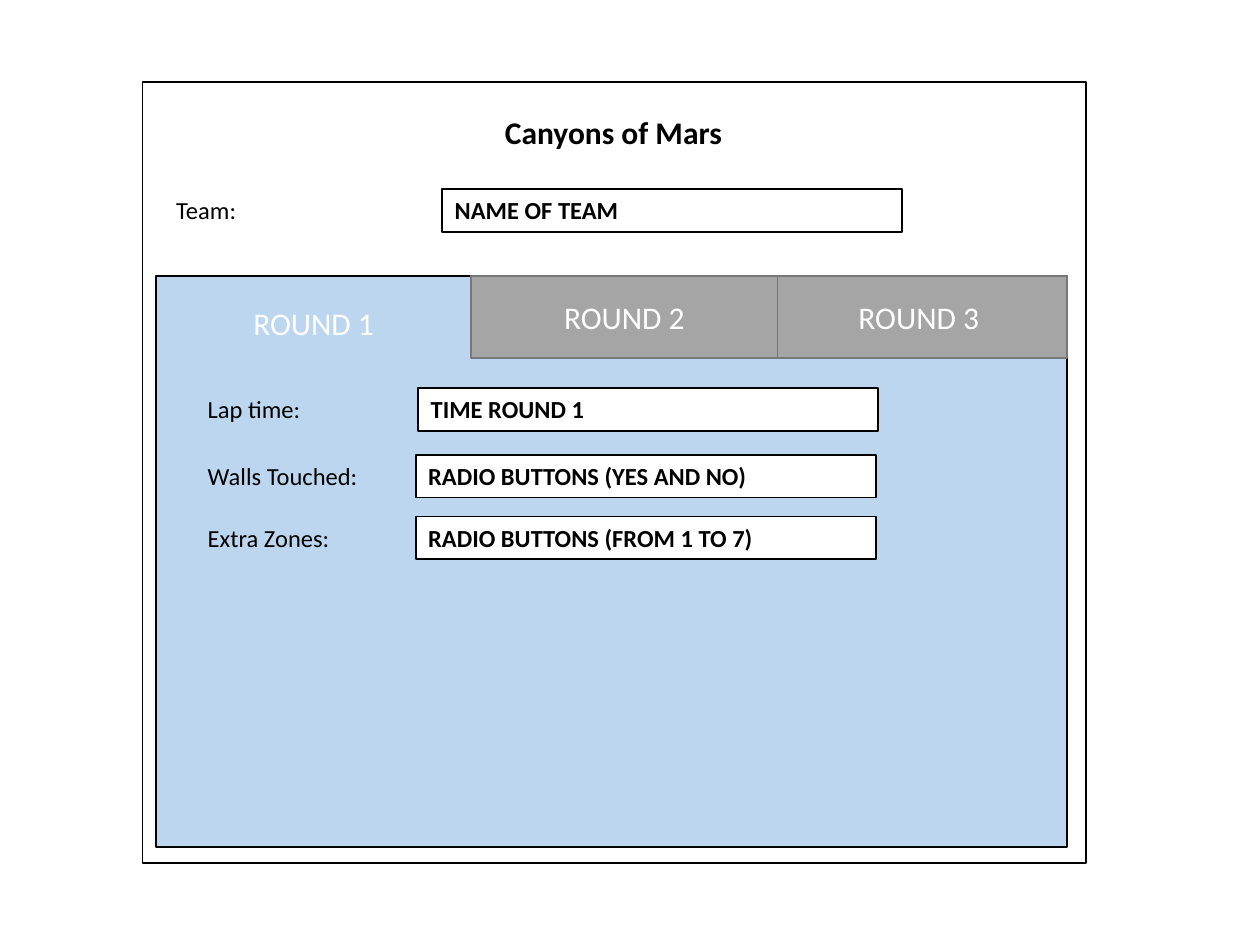
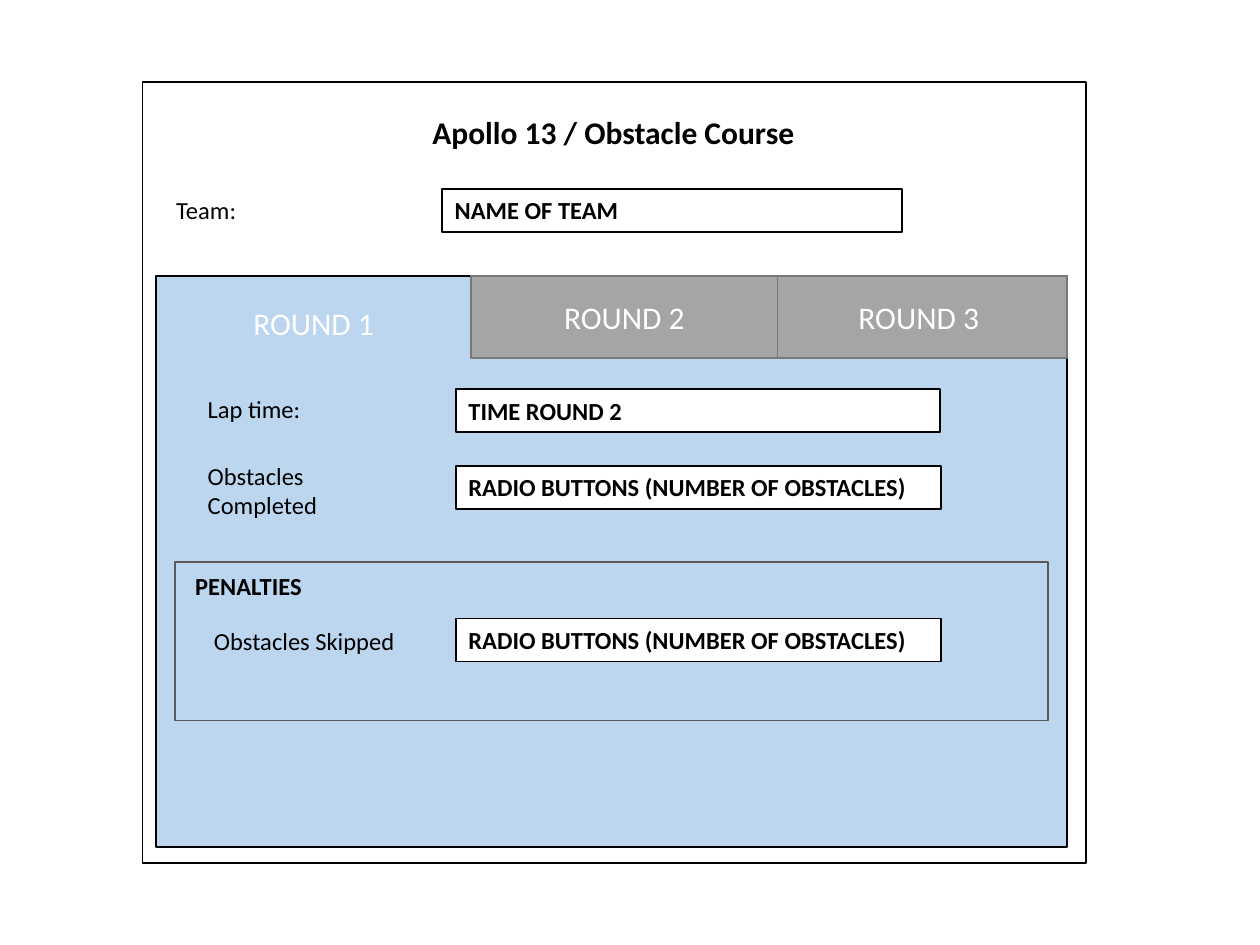
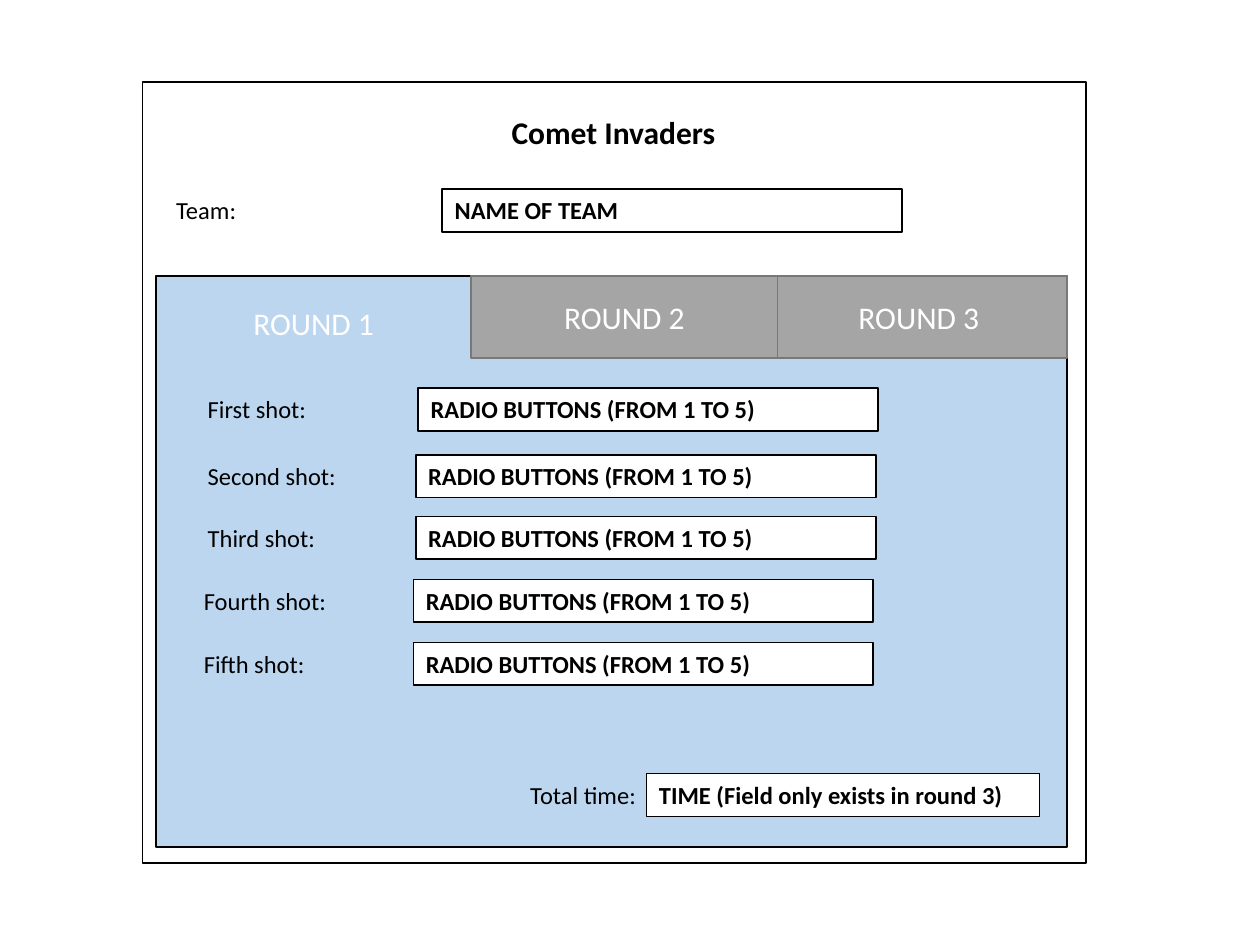
from pptx import Presentation
from pptx.dml.color import RGBColor
from pptx.enum.shapes import MSO_SHAPE
from pptx.enum.text import MSO_ANCHOR, PP_ALIGN
from pptx.util import Pt

BLACK = RGBColor(0x00, 0x00, 0x00)
WHITE = RGBColor(0xFF, 0xFF, 0xFF)
PANEL_BLUE = RGBColor(0xBB, 0xD6, 0xEE)
TAB_GRAY = RGBColor(0xA5, 0xA5, 0xA5)
TAB_EDGE = RGBColor(0x78, 0x78, 0x78)
GROUP_EDGE = RGBColor(0x59, 0x59, 0x59)

TITLE = {"size": Pt(18), "bold": True}
LABEL = {"size": Pt(14), "bold": False}
VALUE = {"size": Pt(14), "bold": True}
TAB = {"size": Pt(18), "bold": False}

ROW_HEIGHT = 24.5
LABEL_WIDTH = 104.4
FIELD_WIDTH = 262.8
ROW_TOPS = [221.8, 259.9, 295.2, 331.2, 367.2]
PANEL_TOP = 157.7
TAB_HEIGHT = 46.8


def add_box(slide, area, fill=None, edge=None):
    """Add a rectangle; without a fill or edge colour that part stays empty."""
    box = slide.shapes.add_shape(MSO_SHAPE.RECTANGLE, *map(Pt, area))
    box.shadow.inherit = False
    for part, color in ((box.fill, fill), (box.line.fill, edge)):
        if color is None:
            part.background()
        else:
            part.solid()
            part.fore_color.rgb = color
    if edge is not None:
        box.line.width = Pt(1)
    return box


def write(slide, text, area, style, box=None, color=BLACK,
          align=PP_ALIGN.LEFT, anchor=MSO_ANCHOR.TOP):
    """Write text into the given box, or into a new text box."""
    holder = box or slide.shapes.add_textbox(*map(Pt, area))
    frame = holder.text_frame
    frame.word_wrap = True
    frame.vertical_anchor = anchor
    paragraph = frame.paragraphs[0]
    paragraph.alignment = align
    run = paragraph.add_run()
    run.text = text
    run.font.name = "Calibri"
    run.font.color.rgb = color
    for attribute, value in style.items():
        setattr(run.font, attribute, value)


# Tab: caption, left, top, width, height, fill, edge
tabs = [
    ("ROUND 1", 91.4, 164.9, 175.7, 39.6, PANEL_BLUE, None),
    ("ROUND 2", 269.3, PANEL_TOP, 175, TAB_HEIGHT, TAB_GRAY, TAB_EDGE),
    ("ROUND 3 ", 444.3, PANEL_TOP, 165.6, TAB_HEIGHT, TAB_GRAY, TAB_EDGE),
]

# Labels and fields: text, left, top, width
shots = ["First", "Second", "Third", "Fourth", "Fifth"]
shot_lefts = [(111.6, 239), (111.6, 237.6), (111.6, 237.6),
              (109.4, 236.2), (109.4, 236.2)]
forms = [
    {
        "title": "Canyons of Mars",
        "labels": [
            (text, 111.6, top, LABEL_WIDTH) for text, top in
            zip(["Lap time:", "Walls Touched:", "Extra Zones:"], ROW_TOPS)
        ],
        "fields": [
            ("TIME ROUND 1", 239, ROW_TOPS[0], FIELD_WIDTH),
            ("RADIO BUTTONS (YES AND NO)", 237.6, ROW_TOPS[1], FIELD_WIDTH),
            ("RADIO BUTTONS (FROM 1 TO 7)", 237.6, ROW_TOPS[2], FIELD_WIDTH),
        ],
    },
    {
        "title": "Apollo 13 / Obstacle Course",
        "labels": [
            ("Lap time:", 111.6, ROW_TOPS[0], LABEL_WIDTH),
            ("Obstacles Completed", 111.6, ROW_TOPS[1], LABEL_WIDTH),
            ("Obstacles Skipped", 115.2, 354.2, 120.2),
        ],
        "fields": [
            ("TIME ROUND 2", 260.6, 222.5, 276.5),
            ("RADIO BUTTONS (NUMBER OF OBSTACLES)", 260.6, 266.4, 277.2),
            ("RADIO BUTTONS (NUMBER OF OBSTACLES)", 260.6, 353.5, 277.2),
        ],
    },
    {
        "title": "Comet Invaders",
        "labels": [
            (f"{shot} shot:", left, top, LABEL_WIDTH)
            for shot, (left, _), top in zip(shots, shot_lefts, ROW_TOPS)
        ] + [("Total time:", 295.9, 442.1, 85)],
        "fields": [
            ("RADIO BUTTONS (FROM 1 TO 5)", left, top, FIELD_WIDTH)
            for (_, left), top in zip(shot_lefts, ROW_TOPS)
        ] + [("TIME (Field only exists in round 3)", 369.4, 442.1, 224.6)],
    },
]

deck = Presentation()
deck.slide_width = Pt(720)
deck.slide_height = Pt(540)

for form in forms:
    slide = deck.slides.add_slide(deck.slide_layouts[6])
    add_box(slide, (81.4, 46.8, 539.3, 446.4), edge=BLACK)
    write(slide, form["title"], (163.4, 61.2, 374.4, 28.8), TITLE,
          align=PP_ALIGN.CENTER)
    add_box(slide, (89.3, PANEL_TOP, 520.6, 326.2), PANEL_BLUE, BLACK)

    for caption, left, top, width, height, fill, edge in tabs:
        area = (left, top, width, height)
        write(slide, caption, area, TAB, add_box(slide, area, fill, edge),
              WHITE, PP_ALIGN.CENTER, MSO_ANCHOR.MIDDLE)

    team_label = ("Team:", 93.6, 108, LABEL_WIDTH)
    for text, left, top, width in [team_label] + form["labels"]:
        height = 41 if text == "Obstacles Completed" else ROW_HEIGHT
        write(slide, text, (left, top, width, height), LABEL)

    team_field = ("NAME OF TEAM", 252.7, 108, FIELD_WIDTH)
    for text, left, top, width in [team_field] + form["fields"]:
        area = (left, top, width, ROW_HEIGHT)
        write(slide, text, area, VALUE, add_box(slide, area, WHITE, BLACK))

obstacle_slide = deck.slides[1]
add_box(obstacle_slide, (100.1, 321.1, 499, 90.7), edge=GROUP_EDGE)
write(obstacle_slide, "PENALTIES", (104.4, 322.6, LABEL_WIDTH, ROW_HEIGHT),
      VALUE)

deck.save("out.pptx")
